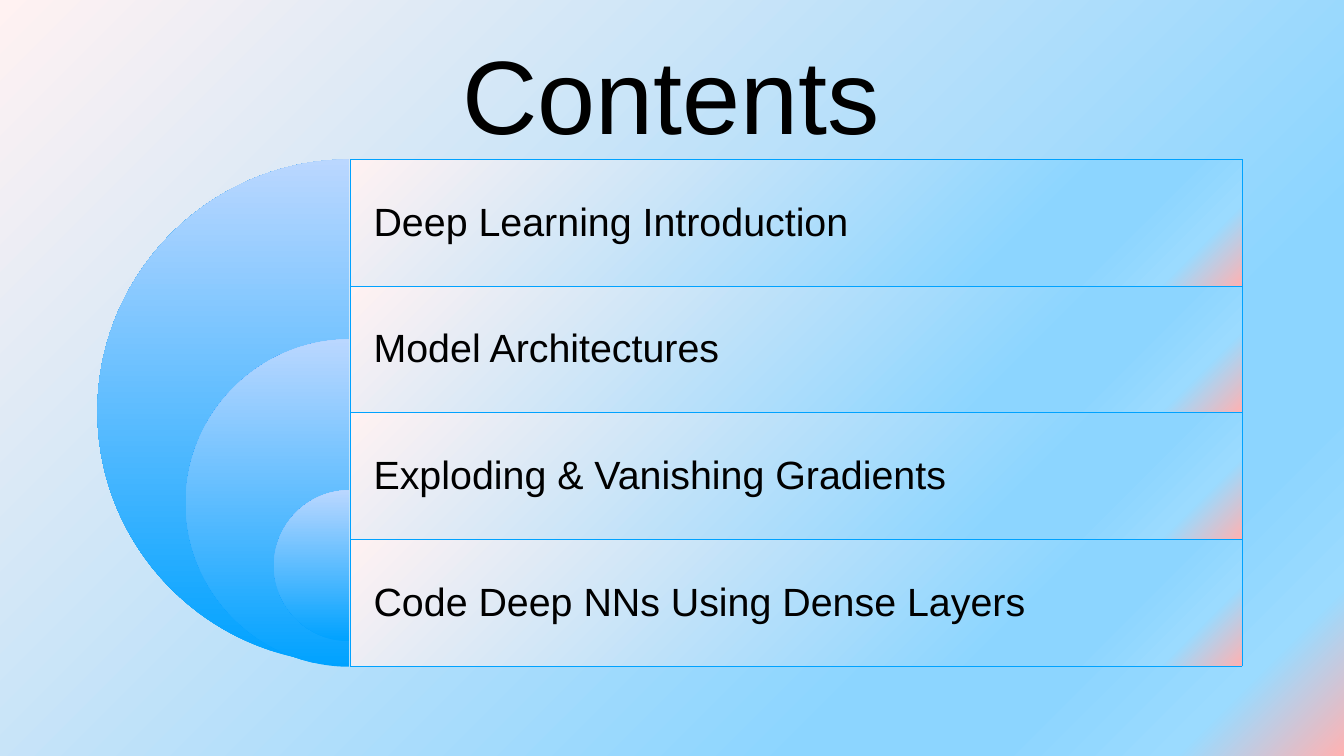
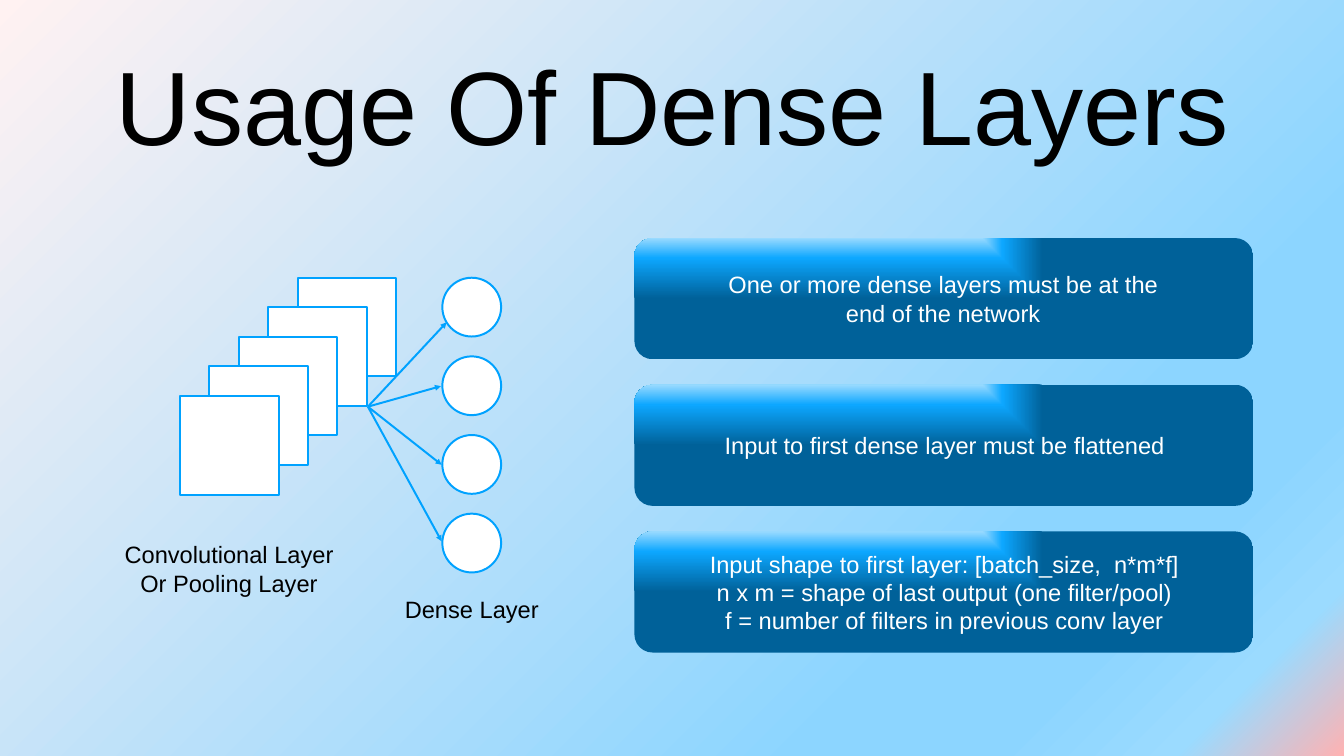
from lxml import etree
from pptx import Presentation
from pptx.dml.color import RGBColor
from pptx.enum.shapes import MSO_CONNECTOR, MSO_SHAPE
from pptx.enum.text import MSO_ANCHOR, MSO_AUTO_SIZE, PP_ALIGN
from pptx.oxml.ns import qn
from pptx.util import Inches, Pt

RECT, ROUND, OVAL = MSO_SHAPE.RECTANGLE, MSO_SHAPE.ROUNDED_RECTANGLE, MSO_SHAPE.OVAL
STRAIGHT = MSO_CONNECTOR.STRAIGHT
MIDDLE, CENTER = MSO_ANCHOR.MIDDLE, PP_ALIGN.CENTER
GROW, FIXED = MSO_AUTO_SIZE.SHAPE_TO_FIT_TEXT, MSO_AUTO_SIZE.NONE

FONT = "Arial"
COLORS = {
    "ink": "000000", "white": "FFFFFF", "blue": "00A2FF", "pale": "BAD7FF",
    "blush": "FFF2F2", "sky": "8CD5FF", "light": "9BDBFF", "rose": "FFB2B2",
    "shine": "99DAFF", "bright": "0DA7FF", "deep": "006199",
}
WASH = [(0, "blush"), (74, "sky"), (83, "sky"), (92, "light"), (100, "rose")]
DISC = [(0, "blue"), (100, "pale")]
GLOSS = [(0, "shine"), (33, "bright"), (100, "deep")]
FOCUS = {"l": 16, "t": -49, "r": 84, "b": 149}
BEND = 0.55

TOPICS = ["Deep Learning Introduction", "Model Architectures",
          "Exploding & Vanishing Gradients", "Code Deep NNs Using Dense Layers"]
RULES = [
    ((1.21, 0.4, 6.29, 0.91), True,
     ["One or more dense layers must be at the end of the network"]),
    ((1.05, 0.6, 6.65, 0.5), False, ["Input to first dense layer must be flattened"]),
    ((0.82, 0.2, 7.1, 1.31), False, ["Input shape to first layer: [batch_size,  n*m*f]",
                                     "n x m = shape of last output (one filter/pool)",
                                     "f = number of filters in previous conv layer"]),
]


def rgb(name):
    """Return the named colour."""
    return RGBColor.from_string(COLORS[name])


def node(parent, tag, **attrs):
    """Append a drawing element with the given attributes."""
    return etree.SubElement(parent, qn("a:" + tag), {k: str(v) for k, v in attrs.items()})


def blend(fill, root, stops, angle=None):
    """Give a fill a linear gradient, or one that spreads from FOCUS."""
    fill.gradient()
    grad = next(root.iter(qn("a:gradFill")))
    grad.clear()
    grad.set("rotWithShape", "1")
    items = node(grad, "gsLst")
    for place, name in stops:
        node(node(items, "gs", pos=place * 1000), "srgbClr", val=COLORS[name])
    if angle is None:
        spread = node(grad, "path", path="shape")
        node(spread, "fillToRect", **{k: v * 1000 for k, v in FOCUS.items()})
    else:
        node(grad, "lin", ang=angle * 60000, scaled=0)


def style(para, size, color):
    """Set the font of a paragraph."""
    para.font.name, para.font.size = FONT, Pt(size)
    para.font.color.rgb = rgb(color)


def write(slide, box, lines, size=24, color="ink", wrap=False, fit=GROW):
    """Add centred lines of text in a box."""
    frame = slide.shapes.add_textbox(*map(Inches, box)).text_frame
    frame.word_wrap, frame.vertical_anchor, frame.auto_size = wrap, MIDDLE, fit
    frame.margin_left = frame.margin_right = Inches(0.06)
    frame.margin_top = frame.margin_bottom = Inches(0.06)
    frame.text = "\n".join(lines)
    for para in frame.paragraphs:
        para.alignment = CENTER
        style(para, size, color)


def title(slide, left, top, text):
    """Add the slide title."""
    write(slide, (left, top, 16.19, 2.36), [text], 106, wrap=True, fit=FIXED)


def outline(slide, kind, box):
    """Add a white shape with a blue edge."""
    shape = slide.shapes.add_shape(kind, *map(Inches, box))
    shape.shadow.inherit = False
    shape.fill.solid()
    shape.fill.fore_color.rgb = rgb("white")
    shape.line.color.rgb, shape.line.width = rgb("blue"), Pt(2)


def arrow(slide, start, end):
    """Add a blue arrow between two points."""
    line = slide.shapes.add_connector(STRAIGHT, *map(Inches, (*start, *end)))
    line.line.color.rgb, line.line.width = rgb("blue"), Pt(2)
    node(line.line._get_or_add_ln(), "tailEnd", type="triangle")
    node(line._element.spPr, "effectLst")


def half(slide, right, top, size):
    """Add the left half of a disc whose flat side is at right."""
    x, y, r = Inches(right), Inches(top), Inches(size / 2)
    build = slide.shapes.build_freeform(x, y + 2 * r)
    build.add_line_segments([(x - r, y + r), (x, y), (x, y + r)], close=True)
    shape = build.convert_to_shape()
    near, low, high = round(r * (1 - BEND)), round(r * (1 + BEND)), round(r * (1 - BEND))
    curves = [[(near, 2 * r), (0, low), (0, r)], [(0, high), (near, 0), (r, 0)]]
    sides = list(shape._element.iter(qn("a:lnTo")))
    for side, points in zip(sides, curves):
        side.tag = qn("a:cubicBezTo")
        side.clear()
        for px, py in points:
            node(side, "pt", x=int(px), y=int(py))
    shape.shadow.inherit = False
    shape.line.fill.background()
    blend(shape.fill, shape._element.spPr, DISC, 270)


def border(cell):
    """Draw thin blue lines round a cell."""
    props = cell._tc.get_or_add_tcPr()
    for i, side in enumerate(("lnL", "lnR", "lnT", "lnB")):
        line = node(props, side, w=Pt(0.75))
        node(node(line, "solidFill"), "srgbClr", val=COLORS["blue"])
        props.insert(i, line)


def topics(slide, left, top, width, height):
    """Add the table of topics."""
    frame = slide.shapes.add_table(len(TOPICS), 1, *map(Inches, (left, top, width, height)))
    table = frame.table
    table.first_row = table.horz_banding = False
    for row, text in zip(table.rows, TOPICS):
        cell = row.cells[0]
        cell.text, cell.vertical_anchor = text, MIDDLE
        cell.margin_left = cell.margin_right = cell.margin_top = cell.margin_bottom = 0
        para = cell.text_frame.paragraphs[0]
        para._p.get_or_add_pPr().set("indent", str(Inches(0.33)))
        style(para, 40, "ink")
        blend(cell.fill, cell._tc, WASH, 45)
        border(cell)


def network(slide, left, top):
    """Add the stacked layers, the dense nodes and their labels."""
    for i in range(4):
        outline(slide, OVAL, (left + 4.65, top + 1.11 * i, 0.83, 0.83))
    for x, y in ((4.71, 0.63), (4.63, 1.53), (4.64, 2.64), (4.64, 3.72)):
        arrow(slide, (left + 3.6, top + 1.82), (left + x, top + y))
    write(slide, (left + 4.04, top + 4.43, 2.05, 0.5), ["Dense Layer"])
    for i in range(5):
        box = (left + 2.61 - 1.66 * i / 4, top + 1.67 * i / 4, 1.39, 1.39)
        outline(slide, RECT, box)
    write(slide, (left, top + 3.65, 3.28, 0.91), ["Convolutional Layer", "Or Pooling Layer"])


def cards(slide, left, top, width, height, pitch):
    """Add a column of glossy cards with centred text."""
    for i, ((x, y, wide, high), wrap, lines) in enumerate(RULES):
        edge = top + pitch * i
        card = slide.shapes.add_shape(ROUND, *map(Inches, (left, edge, width, height)))
        card.adjustments[0] = 0.15
        card.shadow.inherit = False
        card.line.fill.background()
        blend(card.fill, card._element.spPr, GLOSS)
        write(slide, (left + x, edge + y, wide, high), lines, color="white", wrap=wrap)


def contents(slide):
    """Build the contents slide."""
    for top, size in ((2.25, 7.11), (4.79, 4.62), (6.92, 2.13)):
        half(slide, 4.93, top, size)
    title(slide, 1.37, 0.13, "Contents")
    topics(slide, 4.94, 2.25, 12.58, 7.15)


def usage(slide):
    """Build the slide on dense layers."""
    title(slide, 1.39, 0.28, "Usage Of Dense Layers")
    network(slide, 1.59, 3.92)
    cards(slide, 8.95, 3.36, 8.73, 1.71, 2.07)


def main():
    """Build and save the deck."""
    deck = Presentation()
    deck.slide_width, deck.slide_height = Inches(18.96), Inches(10.67)
    master = deck.slide_master
    blend(master.background.fill, master._element, WASH, 45)
    for build in (contents, usage):
        build(deck.slides.add_slide(deck.slide_layouts[6]))
    deck.save("out.pptx")


if __name__ == "__main__":
    main()
